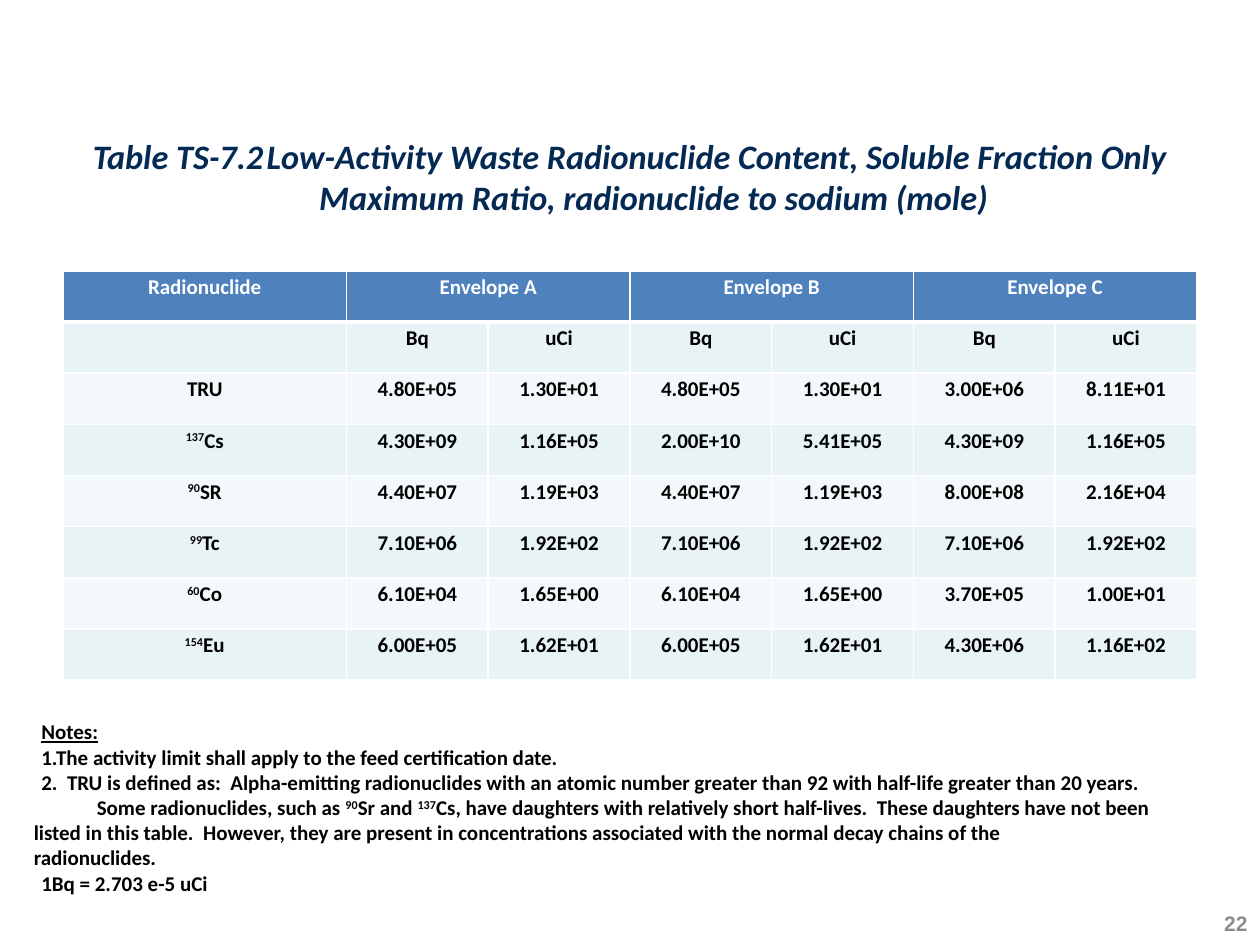
from lxml import etree
from pptx import Presentation
from pptx import util as u
from pptx.dml.color import RGBColor
from pptx.enum import text
from pptx.oxml.ns import qn

COLORS = {"title": "042A54", "header": "4F81BD", "band_dark": "E7F3F4",
          "band_light": "F3F9FA", "white": "FFFFFF", "black": "000000", "gray": "8C8C8C"}
BODY = {"name": "Calibri", "size": u.Pt(12), "bold": True}
TITLE = {"name": "Calibri", "size": u.Pt(19.6), "bold": True, "italic": True}
NUMBER = {"name": "Arial", "size": u.Pt(12), "bold": True}

ROWS = [
    ["Radionuclide", "Envelope A", "", "Envelope B", "", "Envelope C", ""],
    [""] + ["Bq", "uCi"] * 3,
    ["TRU", "4.80E+05", "1.30E+01", "4.80E+05", "1.30E+01", "3.00E+06", "8.11E+01"],
    ["^137^Cs", "4.30E+09", "1.16E+05", "2.00E+10", "5.41E+05", "4.30E+09", "1.16E+05"],
    ["^90^SR", "4.40E+07", "1.19E+03", "4.40E+07", "1.19E+03", "8.00E+08", "2.16E+04"],
    ["^99^Tc", "7.10E+06", "1.92E+02", "7.10E+06", "1.92E+02", "7.10E+06", "1.92E+02"],
    ["^60^Co", "6.10E+04", "1.65E+00", "6.10E+04", "1.65E+00", "3.70E+05", "1.00E+01"],
    ["^154^Eu", "6.00E+05", "1.62E+01", "6.00E+05", "1.62E+01", "4.30E+06", "1.16E+02"],
]
NOTES = [
    "Notes:",
    "1.The activity limit shall apply to the feed certification date.",
    "2.  TRU is defined as:  Alpha-emitting radionuclides with an atomic number "
    "greater than 92 with half-life greater than 20 years.",
    "\tSome radionuclides, such as ^90^Sr and ^137^Cs, have daughters with relatively "
    "short half-lives.  These daughters have not been \t\tlisted in this table.  However, "
    "they are present in concentrations associated with the normal decay chains of the "
    "\t\t\tradionuclides.",
    "1Bq = 2.703 e-5 uCi",
]


def add_runs(p, content, fmt, color):
    """Add text to a paragraph, raising the parts between carets."""
    for i, part in enumerate(content.split("^")):
        if not part:
            continue
        r = p.add_run()
        r.text = part
        for key, value in fmt.items():
            setattr(r.font, key, value)
        r.font.color.rgb = RGBColor.from_string(COLORS[color])
        if i % 2:
            r._r.get_or_add_rPr().set("baseline", "30000")


def set_indent(p, left, first):
    """Set the left margin and first-line indent of a paragraph."""
    pPr = p._p.get_or_add_pPr()
    pPr.set("marL", str(u.Inches(left)))
    pPr.set("indent", str(u.Inches(first)))
    return pPr


def add_box(s, left, top, width, height, anchor):
    """Add a wrapping text box and return its text frame."""
    box = s.shapes.add_textbox(*map(u.Inches, (left, top, width, height)))
    tf = box.text_frame
    tf.word_wrap = True
    tf.vertical_anchor = anchor
    return tf


def add_title(s):
    """Add the two-line table title."""
    tf = add_box(s, 0, 1.02, 10, 0.65, text.MSO_ANCHOR.TOP)
    p = tf.paragraphs[0]
    p.alignment = text.PP_ALIGN.CENTER
    set_indent(p, 0.38, -0.38)
    add_runs(p, "Table TS-7.2\tLow-Activity Waste Radionuclide Content, Soluble Fraction Only",
             TITLE, "title")
    p.add_line_break()
    add_runs(p, "Maximum Ratio, radionuclide to sodium (mole)", TITLE, "title")


def set_borders(cell, widths):
    """Draw white borders on a cell from a dict of side and width in points."""
    tcPr = cell._tc.get_or_add_tcPr()
    for side, width in widths.items():
        ln = etree.SubElement(tcPr, qn(f"a:ln{side}"), w=str(u.Pt(width)))
        fill = etree.SubElement(ln, qn("a:solidFill"))
        etree.SubElement(fill, qn("a:srgbClr"), val=COLORS["white"])


def fill_cell(cell, content, row):
    """Write and format one table cell according to its row."""
    set_borders(cell, {"L": 1, "R": 1, "T": 3 if row == 1 else 1, "B": 3 if row == 0 else 1})
    fill = "header" if row == 0 else "band_dark" if row % 2 else "band_light"
    cell.fill.solid()
    cell.fill.fore_color.rgb = RGBColor.from_string(COLORS[fill])
    cell.margin_left = cell.margin_right = u.Inches(0.07)
    cell.margin_top = cell.margin_bottom = 0
    p = cell.text_frame.paragraphs[0]
    p.alignment = text.PP_ALIGN.CENTER
    p.line_spacing = 1.15
    add_runs(p, content, BODY, "white" if row == 0 else "black")


def add_limits_table(s):
    """Add the table of radionuclide limits by envelope."""
    frame = s.shapes.add_table(len(ROWS), len(ROWS[0]), u.Inches(0.5), u.Inches(2.15),
                               u.Inches(9), u.Inches(3.25))
    table = frame.table
    for i, col in enumerate(table.columns):
        col.width = u.Inches(1.125 if i else 2.25)
    for i, row in enumerate(ROWS):
        for j, content in enumerate(row):
            fill_cell(table.cell(i, j), content, i)
    for j in (1, 3, 5):
        table.cell(0, j).merge(table.cell(0, j + 1))


def add_notes(s):
    """Add the notes below the table."""
    tf = add_box(s, 0.17, 5.65, 9.67, 1.51, text.MSO_ANCHOR.MIDDLE)
    for i, note in enumerate(NOTES):
        p = tf.add_paragraph() if i else tf.paragraphs[0]
        pPr = set_indent(p, 0, 0.06)
        tabs = etree.SubElement(pPr, qn("a:tabLst"))
        etree.SubElement(tabs, qn("a:tab"), pos=str(u.Inches(0.06)), algn="l")
        add_runs(p, note, {**BODY, "underline": i == 0}, "black")


def add_page_number(s):
    """Add the page number at the lower right."""
    tf = add_box(s, 7.17, 7.23, 2.83, 0.2, text.MSO_ANCHOR.MIDDLE)
    p = tf.paragraphs[0]
    p.alignment = text.PP_ALIGN.RIGHT
    add_runs(p, "22", NUMBER, "gray")


def main():
    """Build the slide and save it."""
    prs = Presentation()
    prs.slide_width, prs.slide_height = u.Inches(10), u.Inches(7.5)
    s = prs.slides.add_slide(prs.slide_layouts[6])
    add_page_number(s)
    add_title(s)
    add_limits_table(s)
    add_notes(s)
    prs.save("out.pptx")


if __name__ == "__main__":
    main()
